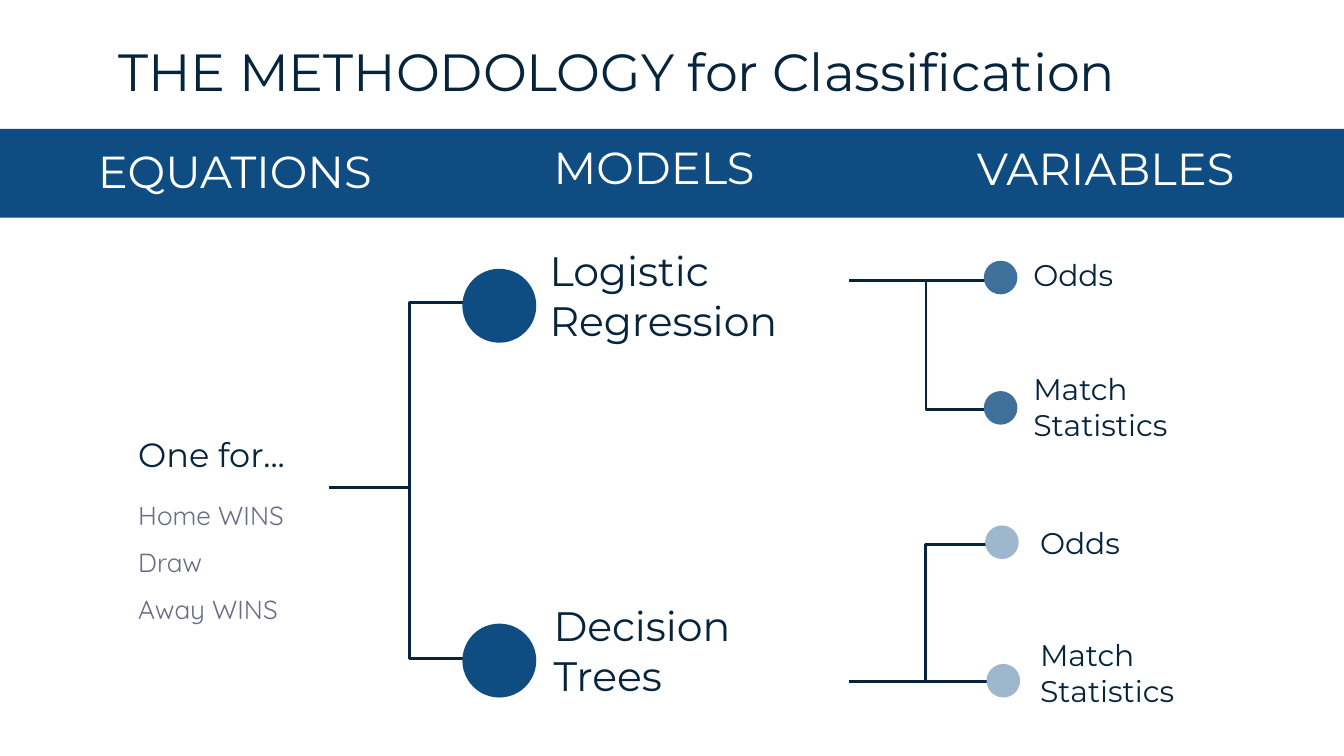
from lxml import etree
from pptx import Presentation
from pptx.dml.color import RGBColor
from pptx.enum.shapes import MSO_CONNECTOR as CONN, MSO_SHAPE as SHAPE
from pptx.enum.text import MSO_ANCHOR as ANCHOR
from pptx.oxml.ns import qn
from pptx.util import Inches, Pt

NAVY, BLUE, MID_BLUE, PALE_BLUE = "07243D", "0F4C81", "3F709A", "9FB7CD"
WHITE, GREY = "FFFFFF", "6A6E85"


def rgb(value):
    return RGBColor.from_string(value)


class Diagram:
    def __init__(self, slide):
        self.slide = slide
        self.font = "Montserrat"
        self.line_width = Pt(1.5)

    def shape(self, kind, x, y, w, h, fill):
        sp = self.slide.shapes.add_shape(
            kind, Inches(x), Inches(y), Inches(w), Inches(h))
        sp.shadow.inherit = False
        sp.fill.solid()
        sp.fill.fore_color.rgb = rgb(fill)
        sp.line.fill.background()

    def dot(self, x, y, size, fill):
        self.shape(SHAPE.OVAL, x, y, size, size, fill)

    def line(self, start, end, bend=None):
        """Draw a line; bend is the turning point as a share of the width."""
        kind = CONN.STRAIGHT if bend is None else CONN.ELBOW
        points = [Inches(v) for v in (*start, *end)]
        cxn = self.slide.shapes.add_connector(kind, *points)
        cxn.line.color.rgb = rgb(NAVY)
        cxn.line.width = self.line_width
        props = cxn._element.spPr
        etree.SubElement(props, qn("a:effectLst"))
        if bend is not None:
            guides = props.find(qn("a:prstGeom")).get_or_add_avLst()
            etree.SubElement(guides, qn("a:gd"), name="adj1",
                             fmla=f"val {round(bend * 100000)}")

    def text(self, text, x, y, w, h, size, color=NAVY, anchor=ANCHOR.TOP, font=None):
        box = self.slide.shapes.add_textbox(
            Inches(x), Inches(y), Inches(w), Inches(h))
        tf = box.text_frame
        tf.word_wrap = True
        tf.vertical_anchor = anchor
        tf.margin_left = tf.margin_right = Inches(0.1)
        tf.margin_top = tf.margin_bottom = Inches(0.1)
        p = tf.paragraphs[0]
        p.text = text
        p.font.name = font or self.font
        p.font.size = Pt(size)
        p.font.color.rgb = rgb(color)
        return p


def main():
    prs = Presentation()
    prs.slide_width = Inches(10)
    prs.slide_height = prs.slide_width * 9 // 16
    d = Diagram(prs.slides.add_slide(prs.slide_layouts[6]))

    d.shape(SHAPE.RECTANGLE, 0, 0.96, 10, 0.66, BLUE)
    d.text("THE METHODOLOGY for Classification", 0.78, 0.19, 7.69, 0.69, 28)
    for heading, x, y, w in [("EQUATIONS", 0.63, 1.07, 2.35),
                             ("MODELS", 4.02, 1.04, 1.71),
                             ("VARIABLES", 7.17, 1.05, 2.64)]:
        d.text(heading, x, y, w, 0.5, 24, WHITE, ANCHOR.BOTTOM)

    # Equations to models
    d.line((2.45, 3.63), (3.64, 2.25), 0.5)
    d.line((2.45, 3.63), (3.64, 4.9), 0.5)
    # Models to variables
    d.line((6.32, 2.09), (7.35, 2.09))
    d.line((6.89, 2.09), (7.32, 3.05), 0)
    d.line((6.34, 5.07), (7.43, 4.05), 0.5)
    d.line((6.32, 5.07), (7.48, 5.07))

    d.text("One for...", 0.93, 3.13, 2, 0.63, 18)
    outcomes = d.text("Home WINS\vDraw\vAway WINS", 0.93, 3.5, 2.15, 1.37,
                      14, GREY, font="Quicksand")
    outcomes.line_spacing = 1.5
    outcomes.space_after = Pt(16)

    for model, x, y, w, h, dot_y in [
            ("Logistic Regression", 3.99, 1.73, 2.48, 0.99, 2),
            ("Decision Trees", 4.02, 4.37, 1.71, 0.63, 4.64)]:
        d.dot(3.44, dot_y, 0.55, BLUE)
        d.text(model, x, y, w, h, 22)

    for variable, x, y, dot_x, dot_y, color in [
            ("Odds", 7.59, 1.73, 7.32, 1.94, MID_BLUE),
            ("Match Statistics", 7.59, 2.71, 7.32, 2.91, MID_BLUE),
            ("Odds", 7.64, 3.72, 7.33, 3.91, PALE_BLUE),
            ("Match Statistics", 7.64, 4.69, 7.34, 4.94, PALE_BLUE)]:
        d.dot(dot_x, dot_y, 0.25, color)
        d.text(variable, x, y, 1.71, 0.63, 16, anchor=ANCHOR.MIDDLE)

    prs.save("out.pptx")


if __name__ == "__main__":
    main()
